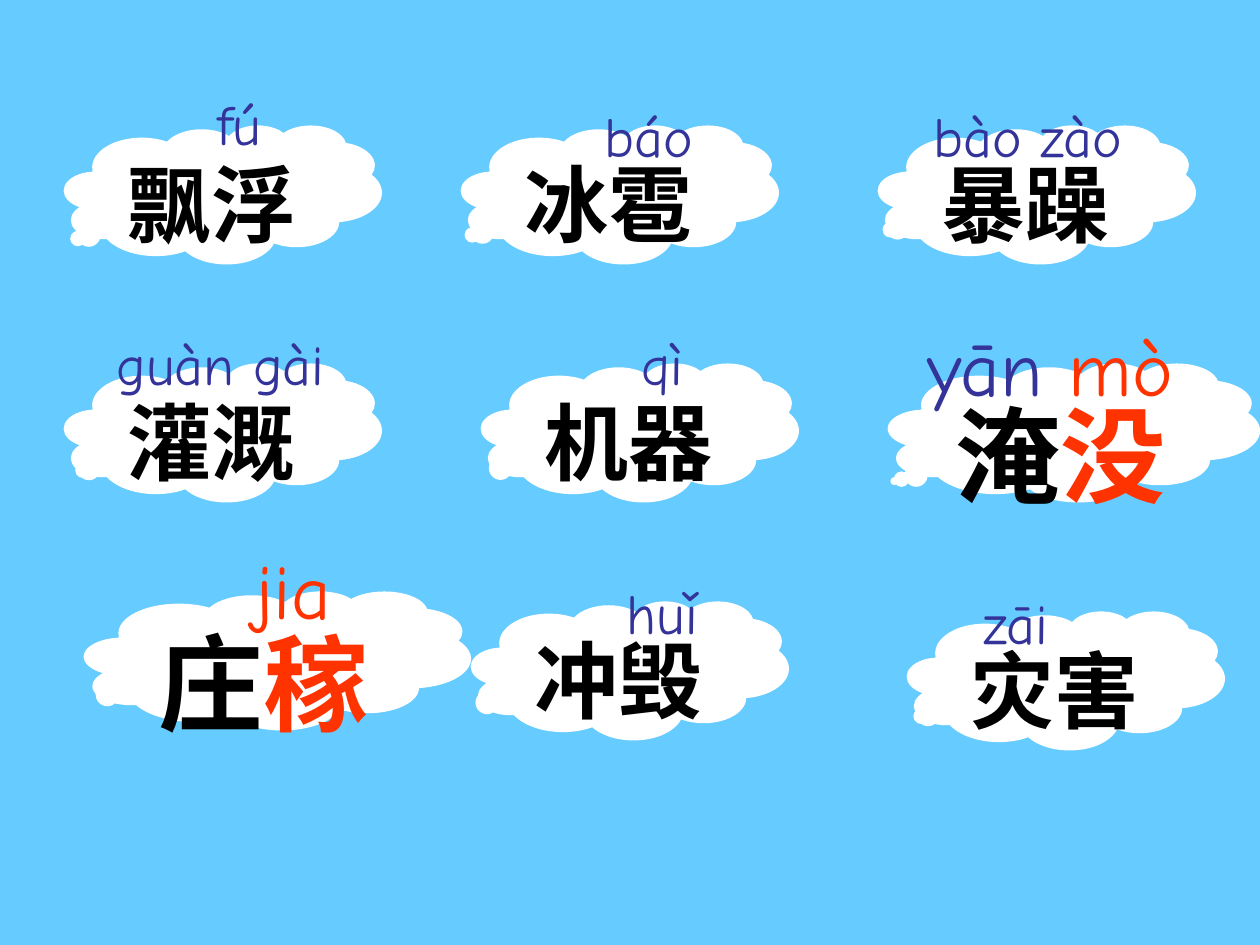
from pptx import Presentation
from pptx.dml.color import RGBColor
from pptx.enum.shapes import MSO_SHAPE as SHAPE
from pptx.enum.text import MSO_ANCHOR as ANCHOR, MSO_AUTO_SIZE as AUTO, PP_ALIGN as ALIGN
from pptx.util import Emu, Pt

SKY = RGBColor(0x66, 0xCC, 0xFF)
WHITE = RGBColor(0xFF, 0xFF, 0xFF)
BLACK = RGBColor(0, 0, 0)
INDIGO = RGBColor(0x33, 0x33, 0x99)
RED = RGBColor(0xFF, 0x33, 0x00)

WORD_FONT = "Times New Roman"
PINYIN_FONT = "Comic Neue"
SMALL = (48, 32, 81)
LARGE = (60, 44, 106)
CLOUD_W, CLOUD_H = 318, 139

CARDS = [
    ((64, 125, CLOUD_W), (-0.467, 0.325), SMALL,
     [("飘浮", BLACK)], (141, -42, 91), [("fú", INDIGO)]),
    ((461, 125, CLOUD_W), (-0.473, 0.297), SMALL,
     [("冰雹", BLACK)], (131, -30, 116), [("báo", INDIGO)]),
    ((878, 125, CLOUD_W), (-0.461, 0.254), SMALL,
     [("暴躁", BLACK)], (43, -30, 217), [("bào zào", INDIGO)]),
    ((64, 363, CLOUD_W), (-0.436, 0.269), SMALL,
     [("灌溉", BLACK)], (40, -40, 236), [("guàn gài", INDIGO)]),
    ((481, 363, CLOUD_W), (-0.43, 0.253), SMALL,
     [("机器", BLACK)], (148, -40, 69), [("qì", INDIGO)]),
    ((888, 363, 372), (-0.483, 0.35), LARGE,
     [("淹", BLACK), ("没", RED)], (27, -50, 274), [("yān ", INDIGO), ("mò", RED)]),
    ((84, 591, 387), (-0.427, 0.239), LARGE,
     [("庄", BLACK), ("稼", RED)], (159, -55, 103), [("jia", RED)]),
    ((471, 601, CLOUD_W), (-0.435, 0.224), SMALL,
     [("冲毁", BLACK)], (143, -29, 99), [("huǐ", INDIGO)]),
    ((907, 611, CLOUD_W), (-0.454, 0.257), SMALL,
     [("灾害", BLACK)], (64, -29, 93), [("zāi", INDIGO)]),
]


def px(n):
    return Emu(round(n * 914400 / 126))


def add_runs(p, runs, font, size, bold):
    for text, color in runs:
        r = p.add_run()
        r.text = text
        r.font.name = font
        r.font.size = Pt(size)
        r.font.bold = bold
        r.font.color.rgb = color


def add_cloud(s, x, y, w, h, tail, runs, size):
    sp = s.shapes.add_shape(SHAPE.CLOUD_CALLOUT, px(x), px(y), px(w), px(h))
    sp.adjustments[0], sp.adjustments[1] = tail
    sp.shadow.inherit = False
    sp.fill.solid()
    sp.fill.fore_color.rgb = WHITE
    sp.line.fill.background()
    tf = sp.text_frame
    tf.word_wrap = True
    tf.vertical_anchor = ANCHOR.TOP
    p = tf.paragraphs[0]
    p.alignment = ALIGN.CENTER
    add_runs(p, runs, WORD_FONT, size, True)


def add_pinyin(s, x, y, w, h, runs, size):
    tf = s.shapes.add_textbox(px(x), px(y), px(w), px(h)).text_frame
    tf.word_wrap = False
    tf.auto_size = AUTO.SHAPE_TO_FIT_TEXT
    add_runs(tf.paragraphs[0], runs, PINYIN_FONT, size, False)


def add_card(s, box, tail, sizes, word, label_box, pinyin):
    x, y, w = box
    dx, dy, label_w = label_box
    word_size, pinyin_size, label_h = sizes
    add_cloud(s, x, y, w, CLOUD_H, tail, word, word_size)
    add_pinyin(s, x + dx, y + dy, label_w, label_h, pinyin, pinyin_size)


def main():
    prs = Presentation()
    prs.slide_width, prs.slide_height = px(1260), px(945)
    s = prs.slides.add_slide(prs.slide_layouts[6])
    s.background.fill.solid()
    s.background.fill.fore_color.rgb = SKY
    for card in CARDS:
        add_card(s, *card)
    prs.save("out.pptx")


if __name__ == "__main__":
    main()
